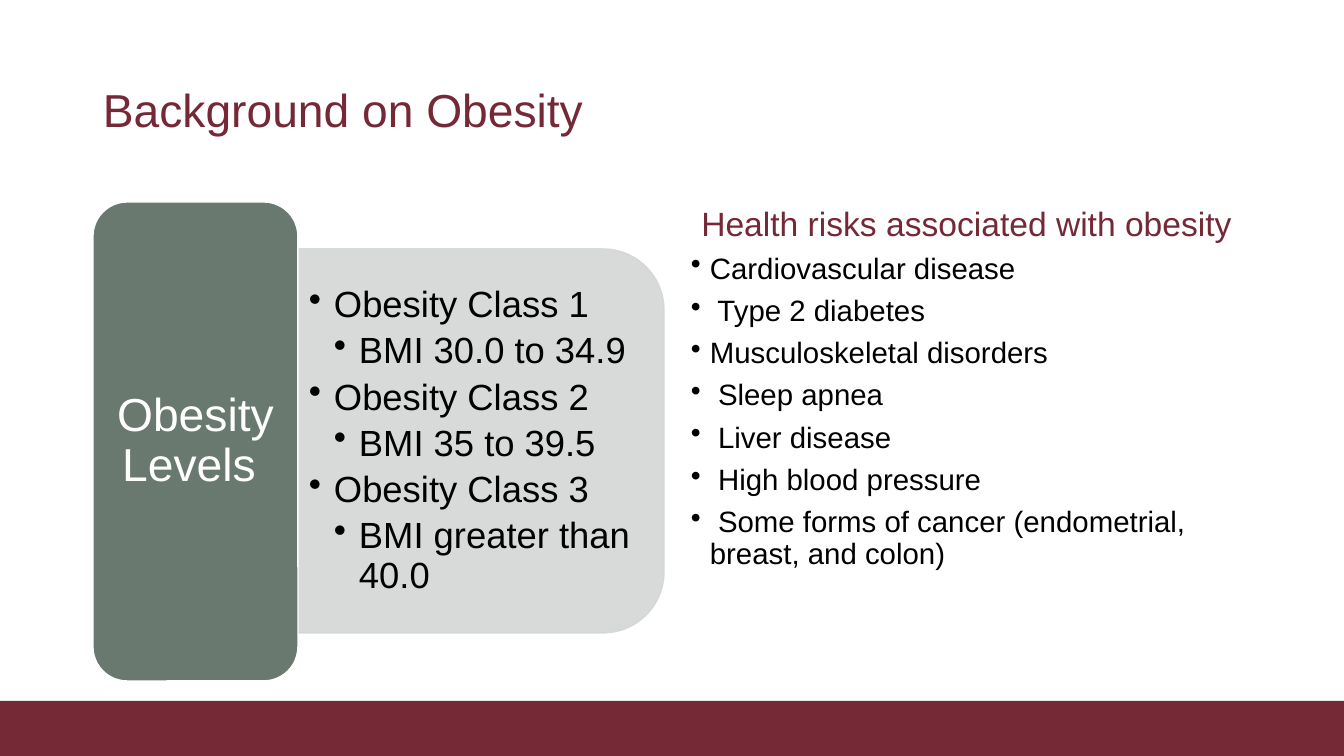
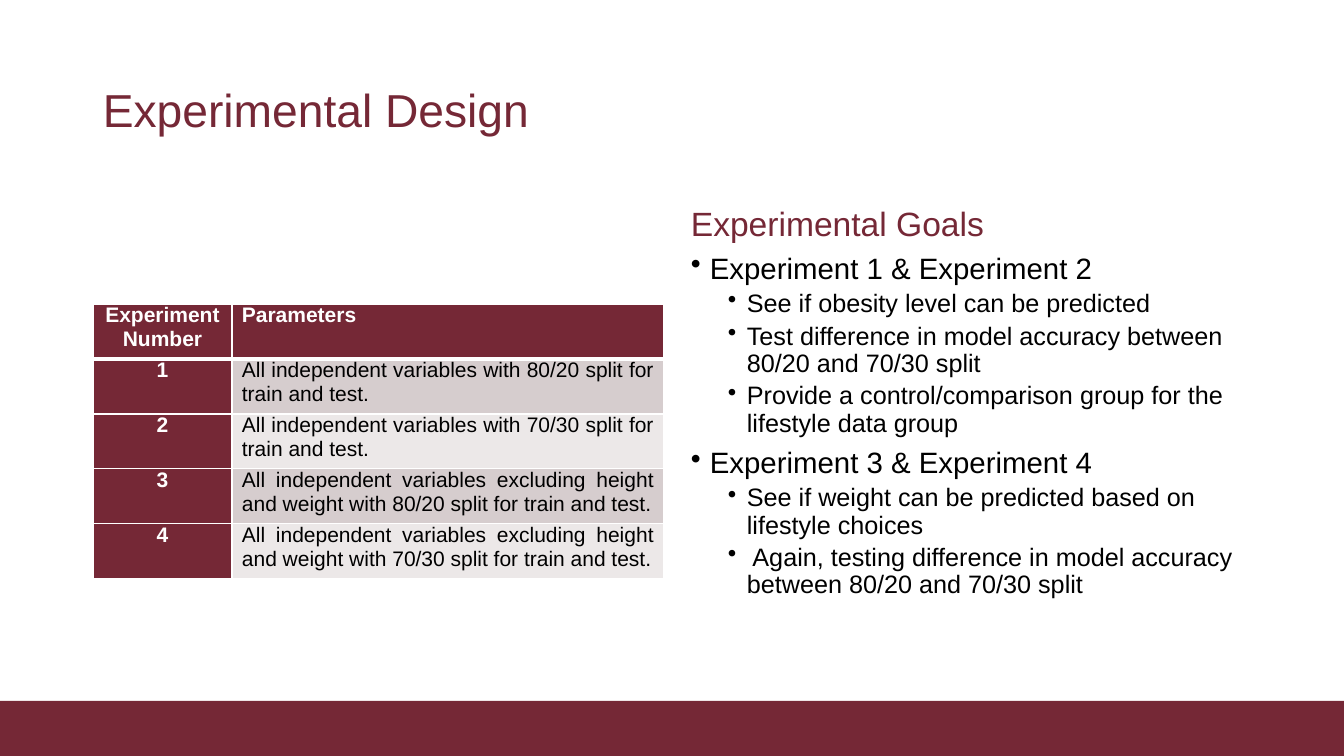
from lxml.etree import SubElement
from pptx import Presentation
from pptx.dml.color import RGBColor
from pptx.enum.shapes import MSO_SHAPE
from pptx.enum.text import MSO_ANCHOR, PP_ALIGN
from pptx.oxml.ns import qn
from pptx.util import Pt

WINE = RGBColor(0x75, 0x28, 0x36)
SAGE = RGBColor(0x69, 0x79, 0x70)
MIST = RGBColor(0xD4, 0xD7, 0xD5)
ROSE = RGBColor(0xD6, 0xCD, 0xCE)
PALE = RGBColor(0xEC, 0xE8, 0xE8)
BLACK = RGBColor(0, 0, 0)
WHITE = RGBColor(0xFF, 0xFF, 0xFF)
FONT = "Arial"
WIDE, HIGH = 1344, 756
PX = 12192000 / WIDE
LEFT, TOP = 93, 202


def px(*nums):
    """Turn px into a list of EMU lengths."""
    return [round(num * PX) for num in nums]


def put(frame, text, size, color, align=PP_ALIGN.LEFT, line=0.9, before=0,
        after=0, left=0, hang=0, bold=False):
    """Add one paragraph; a hanging indent brings a bullet."""
    frame.word_wrap = True
    para = frame.paragraphs[0]
    if para.runs:
        para = frame.add_paragraph()
        para.space_before = Pt(before)
    para.space_after = Pt(after)
    para.line_spacing = line
    para.alignment = align
    if hang:
        props = para._p.get_or_add_pPr()
        margin, indent = px(left, -hang)
        props.set("marL", str(margin))
        props.set("indent", str(indent))
        SubElement(props, qn("a:buChar")).set("char", "•")
    run = para.add_run()
    run.text = text
    run.font.name = FONT
    run.font.size = Pt(size)
    run.font.bold = bold
    run.font.color.rgb = color


deck = Presentation()
deck.slide_width, deck.slide_height = px(WIDE, HIGH)

# Shared frame: band, title, headed list on the right
pages = [
    ("Background on Obesity", "Health risks associated with obesity",
     PP_ALIGN.CENTER, [
         (0, "Cardiovascular disease"),
         (0, " Type 2 diabetes"),
         (0, "Musculoskeletal disorders"),
         (0, " Sleep apnea"),
         (0, " Liver disease"),
         (0, " High blood pressure"),
         (0, " Some forms of cancer (endometrial, breast, and colon)"),
     ]),
    ("Experimental Design", "Experimental Goals", PP_ALIGN.LEFT, [
        (0, "Experiment 1 & Experiment 2"),
        (1, "See if obesity level can be predicted"),
        (1, "Test difference in model accuracy between 80/20 and 70/30 split"),
        (1, "Provide a control/comparison group for the lifestyle data group"),
        (0, "Experiment 3 & Experiment 4"),
        (1, "See if weight can be predicted based on lifestyle choices"),
        (1, " Again, testing difference in model accuracy between 80/20 and"
            " 70/30 split"),
    ]),
]
slides = []
for title, head, align, items in pages:
    slide = deck.slides.add_slide(deck.slide_layouts[6])
    slides.append(slide)
    band = slide.shapes.add_shape(MSO_SHAPE.RECTANGLE, *px(0, 701, WIDE, 55))
    band.shadow.inherit = False
    band.fill.solid()
    band.fill.fore_color.rgb = WINE
    band.line.fill.background()

    frame = slide.shapes.add_textbox(*px(LEFT, 40, 1143, 146)).text_frame
    frame.vertical_anchor = MSO_ANCHOR.MIDDLE
    put(frame, title, 33, WINE)

    frame = slide.shapes.add_textbox(*px(681, TOP, 571, 480)).text_frame
    put(frame, head, 24, WINE, align)
    for level, text in items:
        size, before, left = [(21, 7.5, 19), (18, 3.8, 56)][level]
        put(frame, text, size, BLACK, before=before, left=left, hang=19)
risks, design = slides

# Obesity levels: panel turned a quarter, then its list and label
panel = risks.shapes.add_shape(MSO_SHAPE.ROUND_2_SAME_RECTANGLE,
                               *px(289, 258, 384, 366))
panel.rotation = 90
panel.shadow.inherit = False
for fill in (panel.fill, panel.line.fill):
    fill.solid()
    fill.fore_color.rgb = MIST
panel.line.width = Pt(1)
for tint in panel._element.spPr.iter(qn("a:srgbClr")):
    SubElement(tint, qn("a:alpha")).set("val", "90000")

frame = risks.shapes.add_textbox(*px(298, 267, 348, 348)).text_frame
frame.vertical_anchor = MSO_ANCHOR.MIDDLE
frame.margin_left, frame.margin_right = px(11, 11)
ranges = ["30.0 to 34.9", "35 to 39.5", "greater than 40.0"]
for num, span in enumerate(ranges, 1):
    for left, text in ((25, f"Obesity Class {num}"), (50, f"BMI {span}")):
        put(frame, text, 26, BLACK, after=5, left=left, hang=25)

label = risks.shapes.add_shape(MSO_SHAPE.ROUNDED_RECTANGLE,
                               *px(LEFT, TOP, 205, 479))
label.shadow.inherit = False
label.fill.solid()
label.fill.fore_color.rgb = SAGE
label.line.color.rgb = WHITE
label.line.width = Pt(1)
frame = label.text_frame
frame.vertical_anchor = MSO_ANCHOR.MIDDLE
frame.margin_left, frame.margin_right = px(14, 14)
put(frame, "Obesity Levels ", 33, WHITE, PP_ALIGN.CENTER)

# Experiment table
tests = [("Experiment Number", "Parameters")]
scopes = ["", " excluding height and weight"]
splits = ["80/20", "70/30"]
for scope in scopes:
    for split in splits:
        tests.append((str(len(tests)), f"All independent variables{scope} "
                                       f"with {split} split for train and test."))
cols, step = (139, 432), 55
grid = design.shapes.add_table(
    len(tests), len(cols),
    *px(LEFT, 304, sum(cols), step * len(tests))).table
grid.horz_banding = False
for col, width in zip(grid.columns, px(*cols)):
    col.width = width
for row, texts in enumerate(tests):
    grid.rows[row].height = px(step)[0]
    for col, text in enumerate(texts):
        cell = grid.cell(row, col)
        cell.margin_left, cell.margin_right = px(10, 10)
        cell.margin_top = cell.margin_bottom = 0
        props = cell._tc.get_or_add_tcPr()
        for side in "LRTB":
            thick = (row, side) in ((0, "B"), (1, "T"))
            edge = SubElement(props, qn(f"a:ln{side}"))
            edge.set("w", str(Pt(3 if thick else 1)))
            paint = SubElement(edge, qn("a:solidFill"))
            SubElement(paint, qn("a:srgbClr")).set("val", str(WHITE))
        dark = row == 0 or col == 0
        cell.fill.solid()
        cell.fill.fore_color.rgb = WINE if dark else (PALE, ROSE)[row % 2]
        put(cell.text_frame, text, 15, WHITE if dark else BLACK,
            PP_ALIGN.JUSTIFY if col else PP_ALIGN.CENTER, line=1, bold=dark)

deck.save("out.pptx")
